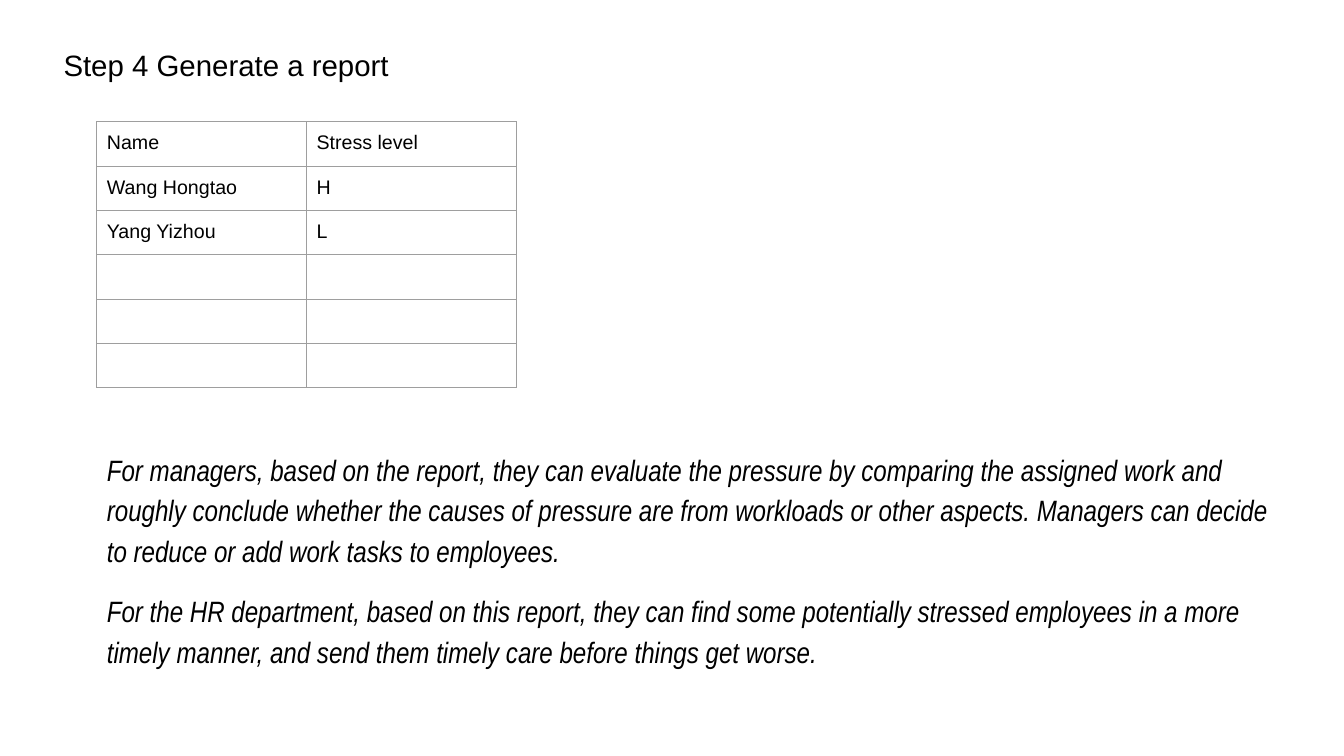
from pptx import Presentation
from pptx.dml.color import RGBColor
from pptx.enum.text import MSO_ANCHOR, MSO_AUTO_SIZE, PP_ALIGN
from pptx.oxml.ns import qn
from pptx.util import Inches, Pt
from lxml.etree import SubElement

COLORS = {"text": "000000", "border": "9E9E9E"}
FRAME = {"word_wrap": True, "auto_size": MSO_AUTO_SIZE.NONE,
         "vertical_anchor": MSO_ANCHOR.TOP}
MARGINS = {f"margin_{side}": Inches(0.1) for side in ("left", "right", "top", "bottom")}
TITLE_FONT = {"name": "Arial", "size": Pt(21)}
CELL_FONT = {"name": "Arial", "size": Pt(14)}
BODY_FONT = {"name": "Arial Narrow", "size": Pt(21), "italic": True}

LEFT = 0.96
COLUMN, ROW, ROWS = 2.08, 0.44, 6
RECORDS = [("Name", "Stress level"), ("Wang Hongtao", "H"), ("Yang Yizhou", "L")]
NOTES = [
    "For managers, based on the report, they can evaluate the pressure by comparing "
    "the assigned work and roughly conclude whether the causes of pressure are from "
    "workloads or other aspects. Managers can decide to reduce or add work tasks to employees.",
    "For the HR department, based on this report, they can find some potentially "
    "stressed employees in a more timely manner, and send them timely care before "
    "things get worse.",
]


def apply(target, values):
    for name, value in values.items():
        setattr(target, name, value)


def write(para, text, font):
    span = para.add_run()
    span.text = text
    apply(span.font, font)
    span.font.color.rgb = RGBColor.from_string(COLORS["text"])


deck = Presentation()
apply(deck, {"slide_width": Inches(13.33), "slide_height": Inches(7.5)})
page = deck.slides.add_slide(deck.slide_layouts[1])
title, body = page.placeholders

# Title and body frames
for box, area in ((title, (0.53, 0.37, 9.34, 0.56)), (body, (LEFT, 4.33, 11.94, 2.38))):
    apply(box, dict(zip(("left", "top", "width", "height"), map(Inches, area))))
    apply(box.text_frame, FRAME | MARGINS)

# Title
heading = title.text_frame.paragraphs[0]
heading.alignment = PP_ALIGN.LEFT
write(heading, "Step 4 Generate a report", TITLE_FONT)

# Stress level table
table = page.shapes.add_table(ROWS, 2, Inches(LEFT), Inches(1.21),
                              Inches(2 * COLUMN), Inches(ROWS * ROW)).table
apply(table, {"first_row": False, "horz_banding": False})
for row in table.rows:
    row.height = Inches(ROW)
for column in table.columns:
    column.width = Inches(COLUMN)

for cell in table.iter_cells():
    apply(cell, MARGINS)
    props = cell._tc.get_or_add_tcPr()
    for edge in ("a:lnL", "a:lnR", "a:lnT", "a:lnB"):
        line = SubElement(props, qn(edge), w=str(Pt(0.75)))
        SubElement(SubElement(line, qn("a:solidFill")), qn("a:srgbClr"), val=COLORS["border"])
    cell.fill.background()
    # Keeps blank rows as low as the filled ones
    end = SubElement(cell.text_frame.paragraphs[0]._p, qn("a:endParaRPr"))
    end.set("sz", "1400")

for r, record in enumerate(RECORDS):
    for c, text in enumerate(record):
        write(table.cell(r, c).text_frame.paragraphs[0], text, CELL_FONT)

# Notes on using the report
frame = body.text_frame
for i, note in enumerate(NOTES):
    para = frame.add_paragraph() if i else frame.paragraphs[0]
    props = para._p.get_or_add_pPr()
    props.set("marL", "0")
    props.set("indent", "0")
    SubElement(props, qn("a:buNone"))
    apply(para, {"line_spacing": 1.15, "space_before": Pt(14 if i else 0),
                 "space_after": Pt(14 if i else 0)})
    write(para, note, BODY_FONT)

deck.save("out.pptx")
